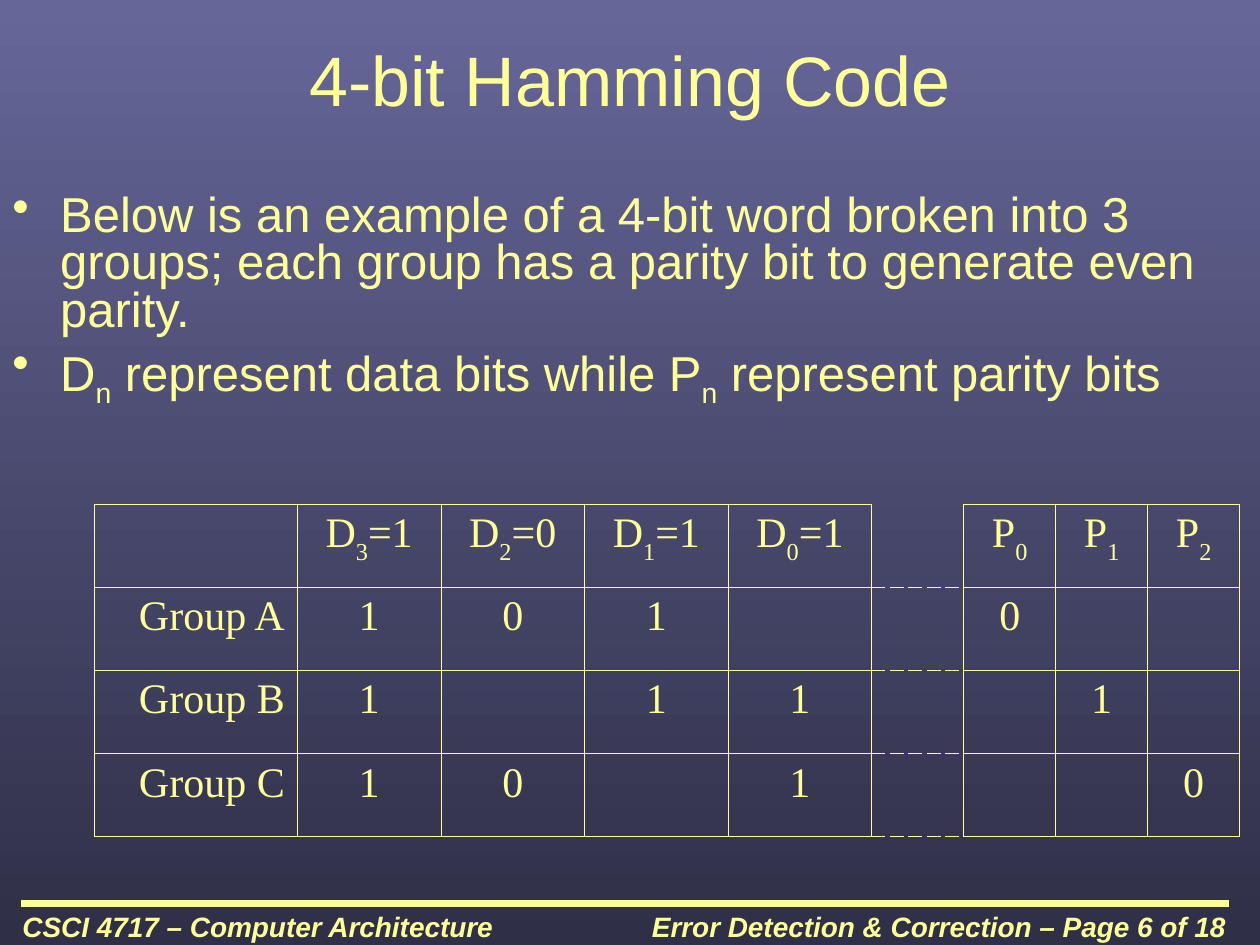
from lxml import etree
from pptx import Presentation
from pptx.dml.color import RGBColor
from pptx.enum.shapes import MSO_CONNECTOR
from pptx.enum.text import MSO_ANCHOR, PP_ALIGN
from pptx.oxml.ns import qn
from pptx.util import Inches, Pt

YELLOW = RGBColor(0xFF, 0xFF, 0x99)
BACKGROUND_TOP = RGBColor(0x66, 0x66, 0x99)
BACKGROUND_BOTTOM = RGBColor(0x2F, 0x2F, 0x47)
LEFT, CENTER, RIGHT = PP_ALIGN.LEFT, PP_ALIGN.CENTER, PP_ALIGN.RIGHT
MIDDLE = MSO_ANCHOR.MIDDLE
STRAIGHT = MSO_CONNECTOR.STRAIGHT

BULLETS = [
    "Below is an example of a 4-bit word broken into 3 groups; "
    "each group has a parity bit to generate even parity.",
    "D_n represent data bits while P_n represent parity bits",
]
CODE_ROWS = [
    ["", "D_3=1", "D_2=0", "D_1=1", "D_0=1", "", "P_0", "P_1", "P_2"],
    ["Group A", "1", "0", "1", "", "", "0", "", ""],
    ["Group B", "1", "", "1", "1", "", "", "1", ""],
    ["Group C", "1", "0", "", "1", "", "", "", "0"],
]
COLUMN_WIDTHS = [1.61] + [1.14] * 4 + [0.73] * 4
ROW_HEIGHT = 0.66
GAP_COLUMN = 5


def write_text(frame, lines, *, size, font="Arial", align=LEFT, bold=False,
               italic=False, bulleted=False, subscript=-25):
    """Write one paragraph per line; the character after "_" is a subscript."""
    for index, line in enumerate(lines):
        paragraph = frame.paragraphs[0] if index == 0 else frame.add_paragraph()
        paragraph.alignment = align
        if bulleted:
            add_bullet(paragraph)
        first, *others = line.split("_")
        pieces = [(first, 0)]
        for other in others:
            pieces += [(other[0], subscript), (other[1:], 0)]
        for text, baseline in pieces:
            if not text:
                continue
            run = paragraph.add_run()
            run.text = text
            run.font.size = Pt(size)
            run.font.name = font
            run.font.bold = bold
            run.font.italic = italic
            run.font.color.rgb = YELLOW
            if baseline:
                run._r.get_or_add_rPr().set("baseline", str(baseline * 1000))


def add_bullet(paragraph):
    paragraph.line_spacing = 0.8
    paragraph.space_before = Pt(7)
    properties = paragraph._p.get_or_add_pPr()
    properties.set("marL", str(Inches(0.38)))
    properties.set("indent", str(-Inches(0.38)))
    color = etree.SubElement(properties, qn("a:buClr"))
    etree.SubElement(color, qn("a:srgbClr"), val=str(YELLOW))
    etree.SubElement(properties, qn("a:buChar"), char="•")


def add_text(slide, left, top, width, height, lines, anchor=None, **text_format):
    box = slide.shapes.add_textbox(
        Inches(left), Inches(top), Inches(width), Inches(height))
    frame = box.text_frame
    frame.word_wrap = True
    if anchor is not None:
        frame.vertical_anchor = anchor
    write_text(frame, lines, **text_format)


def set_border(cell, position, side, dash):
    """Draw one cell edge; a dash of None leaves the edge empty."""
    border = etree.Element(qn(f"a:ln{side}"), w=str(Pt(0.45)))
    if dash is None:
        etree.SubElement(border, qn("a:noFill"))
    else:
        fill = etree.SubElement(border, qn("a:solidFill"))
        etree.SubElement(fill, qn("a:srgbClr"), val=str(YELLOW))
        etree.SubElement(border, qn("a:prstDash"), val=dash)
    cell._tc.get_or_add_tcPr().insert(position, border)


def add_code_table(slide):
    frame = slide.shapes.add_table(
        len(CODE_ROWS), len(COLUMN_WIDTHS), Inches(0.75), Inches(4),
        Inches(sum(COLUMN_WIDTHS)), Inches(ROW_HEIGHT * len(CODE_ROWS)))
    table = frame.table
    table.first_row = table.horz_banding = False
    for column, width in zip(table.columns, COLUMN_WIDTHS):
        column.width = Inches(width)
    for row_index, texts in enumerate(CODE_ROWS):
        table.rows[row_index].height = Inches(ROW_HEIGHT)
        for column_index, text in enumerate(texts):
            cell = table.cell(row_index, column_index)
            cell.fill.background()
            write_text(cell.text_frame, [text], size=24, font="Times New Roman",
                       align=CENTER if column_index else RIGHT, subscript=-30)
            dashes = dict.fromkeys("LRTB", "solid")
            if column_index == GAP_COLUMN:
                dashes["T"] = "dash" if row_index else None
                dashes["B"] = "dash"
            for position, (side, dash) in enumerate(dashes.items()):
                set_border(cell, position, side, dash)


def add_footer(slide):
    rule = slide.shapes.add_connector(
        STRAIGHT, Inches(0.17), Inches(7.17), Inches(9.75), Inches(7.17))
    rule.line.color.rgb = YELLOW
    rule.line.width = Pt(4)
    etree.SubElement(rule._element.spPr, qn("a:effectLst"))
    for left, text, align in [
        (4.75, "Error Detection & Correction – Page 6 of 18", RIGHT),
        (0.08, "CSCI 4717 – Computer Architecture", LEFT),
    ]:
        add_text(slide, left, 7.17, 5.08, 0.37, [text], size=16, align=align,
                 bold=True, italic=True)


def set_background(slide):
    fill = slide.background.fill
    fill.gradient()
    fill.gradient_angle = 270
    for stop, color in zip(fill.gradient_stops, (BACKGROUND_TOP, BACKGROUND_BOTTOM)):
        stop.color.rgb = color


def main():
    presentation = Presentation()
    presentation.slide_width = Inches(10)
    presentation.slide_height = Inches(7.5)
    slide = presentation.slides.add_slide(presentation.slide_layouts[6])
    set_background(slide)
    add_footer(slide)
    add_text(slide, 0.5, 0, 9, 1.25, ["4-bit Hamming Code"], anchor=MIDDLE,
             size=40, align=CENTER)
    add_text(slide, 0, 1.5, 10, 1.92, BULLETS, size=28, bulleted=True)
    add_code_table(slide)
    presentation.save("out.pptx")


if __name__ == "__main__":
    main()
